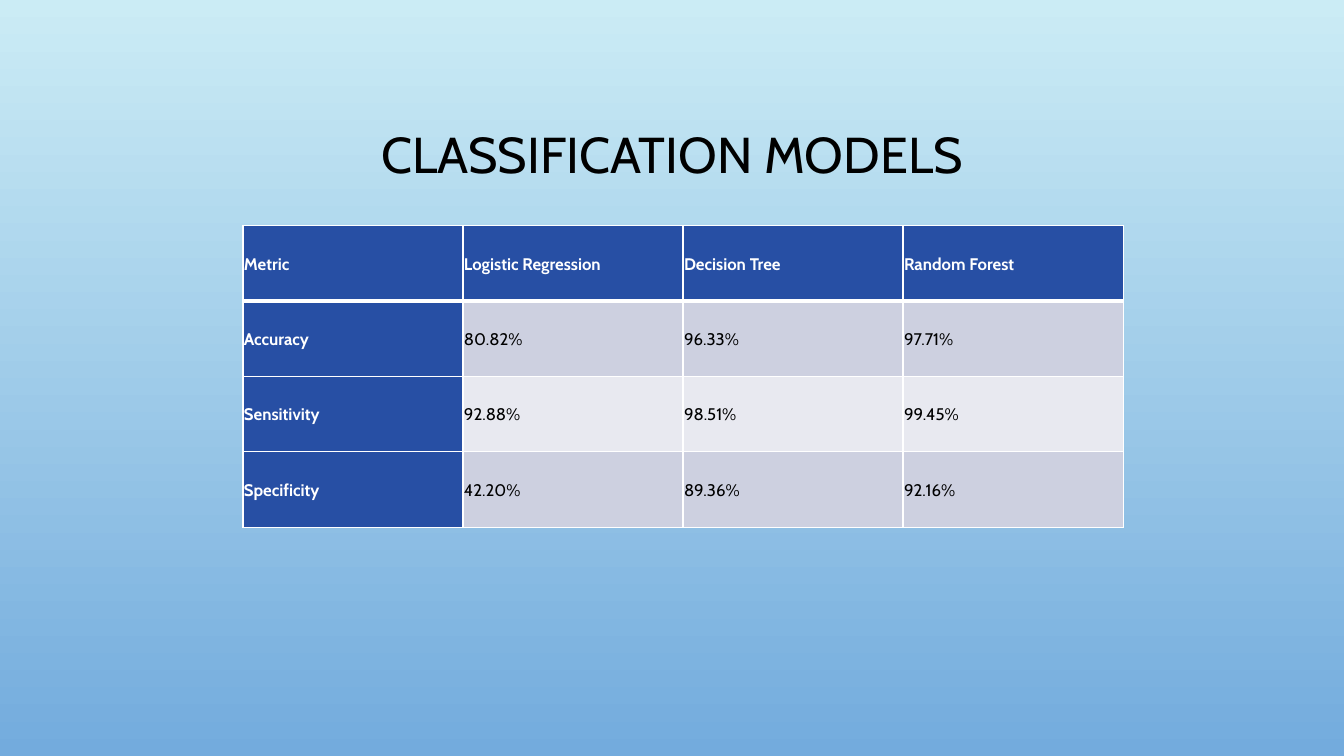
from lxml.etree import SubElement
from pptx import Presentation
from pptx.dml.color import RGBColor
from pptx.enum.text import MSO_ANCHOR as Anchor, PP_ALIGN as Align
from pptx.oxml.ns import qn
from pptx.util import Inches, Pt

SKY = RGBColor(0xCB, 0xEC, 0xF5)
BLUE = RGBColor(0x73, 0xAB, 0xDD)
NAVY = RGBColor(0x27, 0x4F, 0xA4)
BAND_DARK = RGBColor(0xCD, 0xD0, 0xE0)
BAND_LIGHT = RGBColor(0xE8, 0xE9, 0xF0)
WHITE = RGBColor(0xFF, 0xFF, 0xFF)
BLACK = RGBColor(0, 0, 0)
FONT = "Cabin"

METRICS = [
    ["Metric", "Logistic Regression", "Decision Tree", "Random Forest"],
    ["Accuracy", "80.82%", "96.33%", "97.71%"],
    ["Sensitivity", "92.88%", "98.51%", "99.45%"],
    ["Specificity", "42.20%", "89.36%", "92.16%"],
]


def add_text(frame, text, size, color, bold, align, spacing):
    para = frame.paragraphs[0]
    para.alignment = align
    para.line_spacing = spacing
    span = para.add_run()
    span.text = text
    span.font.name = FONT
    span.font.size = Pt(size)
    span.font.bold = bold
    span.font.color.rgb = color


def add_border(cell, side, width):
    line = SubElement(cell._tc.get_or_add_tcPr(), qn(f"a:ln{side}"), w=str(Pt(width)))
    fill = SubElement(line, qn("a:solidFill"))
    SubElement(fill, qn("a:srgbClr"), val=str(WHITE))


deck = Presentation()
deck.slide_width = Inches(13.33)
deck.slide_height = Inches(7.5)
page = deck.slides.add_slide(deck.slide_layouts[5])

backdrop = page.background.fill
backdrop.gradient()
backdrop.gradient_angle = 270
for stop, color, position in zip(backdrop.gradient_stops, (SKY, BLUE), (0, 1)):
    stop.color.rgb = color
    stop.position = position

title = page.shapes.title
title.left, title.top = Inches(1), Inches(0.68)
title.width, title.height = Inches(11.33), Inches(1.75)
title.text_frame.vertical_anchor = Anchor.MIDDLE
add_text(title.text_frame, "CLASSIFICATION MODELS", 36, BLACK, False, Align.CENTER, 0.9)

table = page.shapes.add_table(
    len(METRICS), len(METRICS[0]), Inches(2.41), Inches(2.24), Inches(8.73), Inches(2.99)
).table

for row, values in enumerate(METRICS):
    for column, value in enumerate(values):
        cell = table.cell(row, column)
        heading = row == 0 or column == 0
        add_border(cell, "L", 1)
        add_border(cell, "R", 1)
        add_border(cell, "T", 3 if row == 1 else 1)
        add_border(cell, "B", 3 if row == 0 else 1)
        cell.fill.solid()
        cell.fill.fore_color.rgb = NAVY if heading else BAND_DARK if row % 2 else BAND_LIGHT
        cell.vertical_anchor = Anchor.MIDDLE
        cell.margin_left = cell.margin_right = Inches(0.01)
        cell.margin_top = cell.margin_bottom = Inches(0.01)
        add_text(cell.text_frame, value, 12, WHITE if heading else BLACK, heading, Align.JUSTIFY, 1.07)

deck.save("out.pptx")
